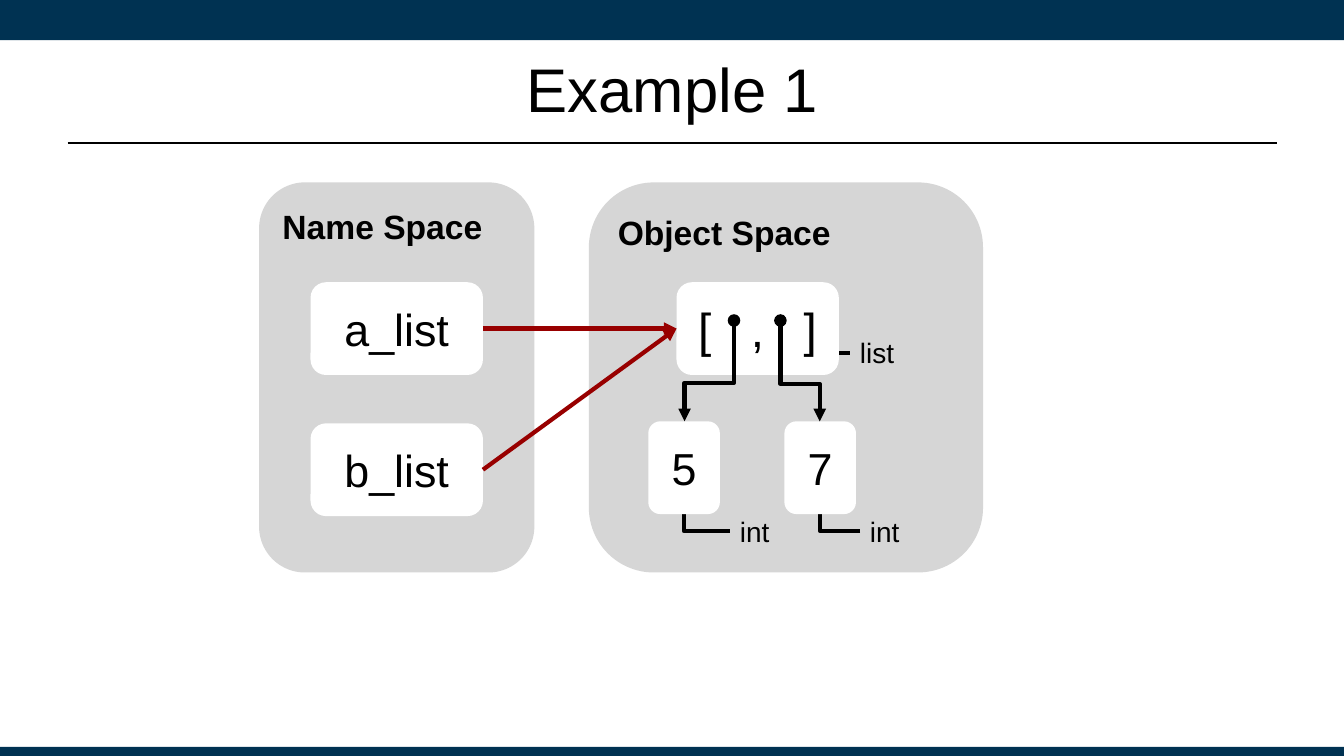
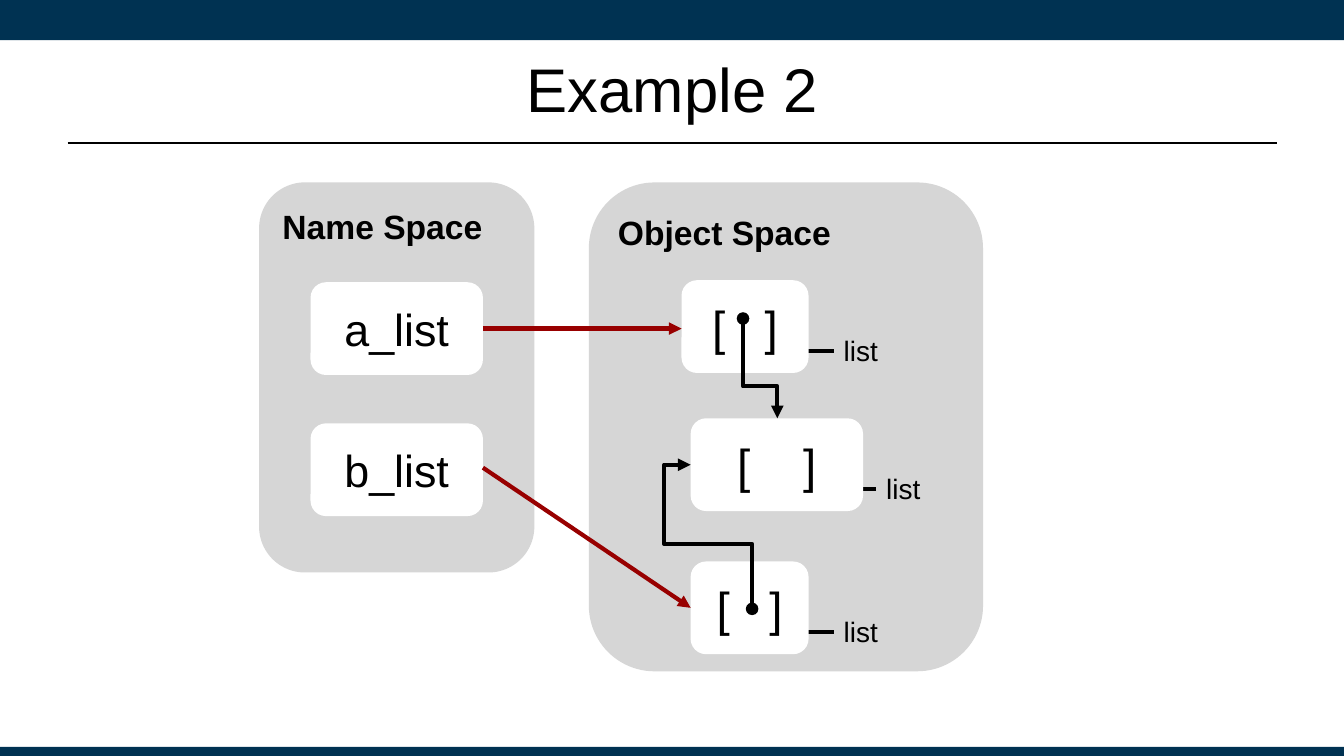
from lxml.etree import SubElement
from pptx import Presentation
from pptx.dml.color import RGBColor
from pptx.enum.shapes import MSO_CONNECTOR, MSO_SHAPE
from pptx.enum.text import MSO_ANCHOR, PP_ALIGN
from pptx.oxml.ns import qn
from pptx.util import Inches, Pt

NAVY = RGBColor(0x00, 0x32, 0x52)
GREY = RGBColor(0xD6, 0xD6, 0xD6)
WHITE = RGBColor(0xFF, 0xFF, 0xFF)
BLACK = RGBColor(0x00, 0x00, 0x00)
RED = RGBColor(0x98, 0x00, 0x00)
FONT = "Arial"
SLIDE_WIDTH, SLIDE_HEIGHT = 13.33, 7.5
BOX_HEIGHT = 0.92
NAME_LEFT, NAME_WIDTH = 3.08, 1.71
NAME_RIGHT = NAME_LEFT + NAME_WIDTH
PANEL_TOP = 1.81


class Deck:
    def __init__(self):
        self.presentation = Presentation()
        self.presentation.slide_width = Inches(SLIDE_WIDTH)
        self.presentation.slide_height = Inches(SLIDE_HEIGHT)
        self.shapes = None

    def start_slide(self, title):
        blank = self.presentation.slide_layouts[6]
        self.shapes = self.presentation.slides.add_slide(blank).shapes
        self.block(MSO_SHAPE.RECTANGLE, 0, 0, SLIDE_WIDTH, 0.4, NAVY)
        self.block(MSO_SHAPE.RECTANGLE, 0, 7.41, SLIDE_WIDTH, 0.09, NAVY)
        self.line((0.67, 1.42), (12.67, 1.42), BLACK, 1.25)
        heading = self.shapes.add_textbox(
            Inches(0.67), Inches(0.25), Inches(12), Inches(1.25))
        self.set_text(heading, title, 44, centred=True, inset=0.05)

    def set_text(self, shape, text, size, bold=False, centred=False, inset=0.1):
        frame = shape.text_frame
        frame.word_wrap = True
        frame.margin_left = frame.margin_right = Inches(0.1)
        frame.margin_top = frame.margin_bottom = Inches(inset)
        frame.vertical_anchor = MSO_ANCHOR.MIDDLE if centred else MSO_ANCHOR.TOP
        frame.text = text
        paragraph = frame.paragraphs[0]
        paragraph.alignment = PP_ALIGN.CENTER if centred else PP_ALIGN.LEFT
        font = paragraph.runs[0].font
        font.name, font.size, font.bold = FONT, Pt(size), bold
        font.color.rgb = BLACK

    def block(self, kind, left, top, width, height, fill):
        shape = self.shapes.add_shape(
            kind, Inches(left), Inches(top), Inches(width), Inches(height))
        shape.shadow.inherit = False
        shape.fill.solid()
        shape.fill.fore_color.rgb = fill
        shape.line.fill.background()
        return shape

    def panel(self, text, left, width, height):
        space = self.block(MSO_SHAPE.ROUNDED_RECTANGLE,
                           left, PANEL_TOP, width, height, GREY)
        self.set_text(space, text, 24, bold=True)

    def box(self, text, left, top, width, size=32):
        value = self.block(MSO_SHAPE.ROUNDED_RECTANGLE,
                           left, top, width, BOX_HEIGHT, WHITE)
        self.set_text(value, text, size, centred=True)

    def name_space(self):
        self.panel("Name Space", 2.57, 2.73, 3.87)
        for name, top in (("a_list", 2.8), ("b_list", 4.2)):
            self.box(name, NAME_LEFT, top, NAME_WIDTH)

    def type_label(self, text, left, top):
        label = self.shapes.add_textbox(
            Inches(left), Inches(top), Inches(0.73), Inches(0.54))
        self.set_text(label, text, 20)

    def list_box(self, text, left, top, width, label_left):
        self.type_label("list", label_left, top + 0.43)
        joint = top + 0.7
        self.elbow((label_left, joint), (label_left - 0.58, joint - 0.18))
        self.box(text, left, top, width, size=34)

    def int_box(self, text, left, top, label_left):
        width = 0.71
        self.type_label("int", label_left, top + 0.82)
        self.elbow((label_left, top + 1.09),
                   (left + width / 2, top + BOX_HEIGHT), bends=2)
        self.box(text, left, top, width)

    def connector(self, kind, start, end, color, width, head=None, tail=None):
        link = self.shapes.add_connector(
            kind, *(Inches(value) for value in (*start, *end)))
        link.line.color.rgb = color
        link.line.width = Pt(width)
        properties = link._element.spPr
        outline = properties.find(qn("a:ln"))
        for tag, arrow in (("a:headEnd", head), ("a:tailEnd", tail)):
            if arrow:
                SubElement(outline, qn(tag), type=arrow)
        SubElement(properties, qn("a:effectLst"))
        return link

    def line(self, start, end, color, width, tail=None):
        self.connector(MSO_CONNECTOR.STRAIGHT, start, end, color, width,
                       tail=tail)

    def name_arrow(self, start_y, end):
        self.line((NAME_RIGHT, start_y), end, RED, 3, tail="triangle")

    def elbow(self, start, end, bends=3, turn=180, flip=False, adjust=(),
              head=None, tail=None):
        (x1, y1), (x2, y2) = start, end
        half_width, half_height = abs(x2 - x1) / 2, abs(y2 - y1) / 2
        if turn != 180:
            half_width, half_height = half_height, half_width
        middle_x, middle_y = (x1 + x2) / 2, (y1 + y2) / 2
        side = -half_width if flip else half_width
        link = self.connector(
            MSO_CONNECTOR.ELBOW,
            (middle_x - side, middle_y - half_height),
            (middle_x + side, middle_y + half_height),
            BLACK, 3, head, tail)
        properties = link._element.spPr
        properties.find(qn("a:xfrm")).set("rot", str(turn * 60000))
        geometry = properties.find(qn("a:prstGeom"))
        geometry.set("prst", f"bentConnector{bends}")
        guides = geometry.find(qn("a:avLst"))
        if guides is None:
            guides = SubElement(geometry, qn("a:avLst"))
        for number, share in enumerate(adjust, 1):
            SubElement(guides, qn("a:gd"), name=f"adj{number}",
                       fmla=f"val {round(share * 100000)}")

    def reference(self, start, end, *adjust):
        rightward, downward = end[0] > start[0], end[1] > start[1]
        self.elbow(start, end, bends=2 + len(adjust),
                   turn=270 if rightward else 90,
                   flip=rightward == downward, adjust=adjust,
                   head="oval", tail="triangle")


def shared_list_slide(deck):
    deck.start_slide("Example 1")
    deck.panel("Object Space", 5.84, 3.91, 3.87)
    deck.list_box("[   ,   ]", 6.71, 2.8, 1.61, 8.43)
    deck.int_box("7", 7.78, 4.18, 8.53)
    deck.int_box("5", 6.43, 4.18, 7.24)
    deck.reference((7.28, 3.18), (6.79, 4.18), 0.62)
    deck.reference((7.74, 3.18), (8.13, 4.18), 0.63)
    deck.name_space()
    for start_y in (3.26, 4.66):
        deck.name_arrow(start_y, (6.71, 3.26))


def nested_list_slide(deck):
    deck.start_slide("Example 2")
    deck.name_space()
    deck.panel("Object Space", 5.84, 3.91, 4.85)
    deck.list_box("[   ]", 6.76, 2.78, 1.26, 8.27)
    deck.list_box("[   ]", 6.85, 5.57, 1.17, 8.27)
    deck.list_box("[    ]", 6.85, 4.15, 1.71, 8.69)
    deck.reference((7.37, 3.16), (7.71, 4.15), 0.68)
    deck.reference((7.46, 6.04), (6.85, 4.61), 0.45, 1.43)
    deck.name_arrow(4.64, (6.85, 6.03))
    deck.name_arrow(3.26, (6.76, 3.26))


def main():
    deck = Deck()
    shared_list_slide(deck)
    nested_list_slide(deck)
    deck.presentation.save("out.pptx")


if __name__ == "__main__":
    main()
